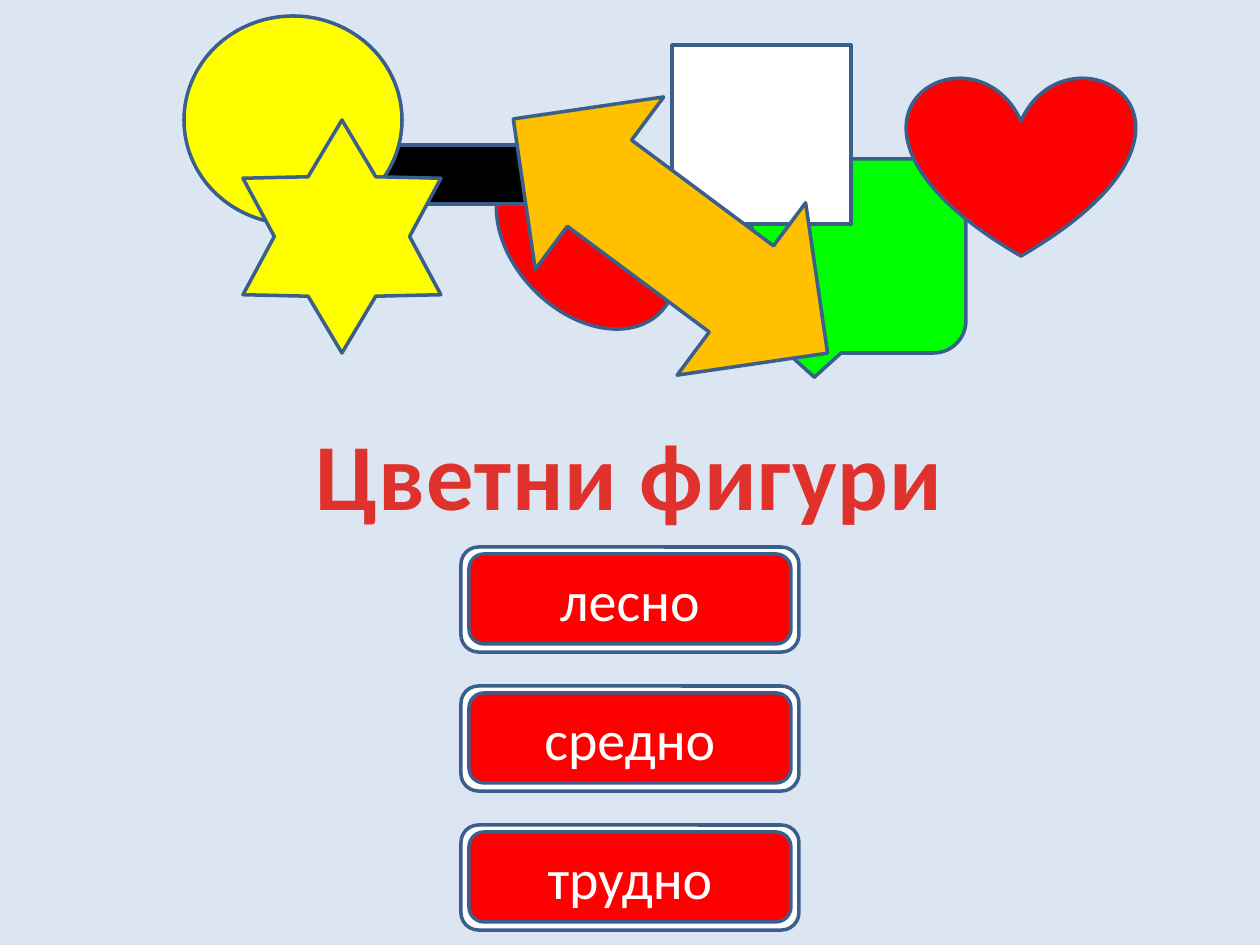
import pptx
import pptx.util
import pptx.dml.color
import pptx.enum.shapes
import pptx.enum.text

PIXEL = 914400 // 126
SHAPE = pptx.enum.shapes.MSO_SHAPE
ALIGN = pptx.enum.text.PP_ALIGN
COLORS = {
    "background": "DCE6F2", "outline": "3A5F8C", "red": "FF0000",
    "black": "000000", "yellow": "FFFF00", "green": "00FF00",
    "white": "FFFFFF", "orange": "FFC000",
    "title light": "E0322D", "title dark": "A2201C",
}


def color(name):
    return pptx.dml.color.RGBColor.from_string(COLORS[name])


def add_figure(shapes, kind, box, fill, rotation=0):
    shape = shapes.add_shape(kind, *(value * PIXEL for value in box))
    shape.shadow.inherit = False
    shape.rotation = rotation
    shape.fill.solid()
    shape.fill.fore_color.rgb = color(fill)
    shape.line.color.rgb = color("outline")
    shape.line.width = pptx.util.Pt(2)
    return shape


presentation = pptx.Presentation()
presentation.slide_width = pptx.util.Inches(10)
presentation.slide_height = pptx.util.Inches(7.5)
slide = presentation.slides.add_slide(presentation.slide_layouts[6])
slide.background.fill.solid()
slide.background.fill.fore_color.rgb = color("background")

# Coloured figures, from back to front
figures = [
    (SHAPE.OVAL, (513, 134, 147, 209), "red", 315.5),
    (SHAPE.RECTANGLE, (323, 145, 248, 59), "black", 0),
    (SHAPE.OVAL, (184, 16, 218, 208), "yellow", 0),
    (SHAPE.STAR_6_POINT, (243, 120, 198, 233), "yellow", 0),
    (SHAPE.ROUNDED_RECTANGULAR_CALLOUT, (752, 159, 214, 194), "green", 0),
    (SHAPE.RECTANGLE, (672, 45, 179, 179), "white", 0),
    (SHAPE.UP_DOWN_ARROW, (563, 40, 215, 392), "orange", 306.7),
    (SHAPE.HEART, (907, 76, 228, 180), "red", 0),
]
for kind, box, fill, rotation in figures:
    figure = add_figure(slide.shapes, kind, box, fill, rotation)
    if kind == SHAPE.STAR_6_POINT:
        figure.adjustments[0] = 0.296

# Title
title = slide.shapes.add_textbox(*(value * PIXEL for value in (300, 410, 659, 127)))
title.text_frame.word_wrap = False
title.text_frame.auto_size = pptx.enum.text.MSO_AUTO_SIZE.SHAPE_TO_FIT_TEXT
paragraph = title.text_frame.paragraphs[0]
paragraph.alignment = ALIGN.CENTER
run = paragraph.add_run()
run.text = "Цветни фигури"
run.font.name = "Calibri"
run.font.size = pptx.util.Pt(54)
run.font.bold = True
run.font.fill.gradient()
run.font.fill.gradient_angle = 270
stops = [(0.25, "title light"), (1, "title dark")]
for stop, (position, name) in zip(run.font.fill.gradient_stops, stops):
    stop.position = position
    stop.color.rgb = color(name)
run._r.get_or_add_rPr().set("spc", "50")

# Level buttons: a white frame around a red label
for index, level in enumerate(["лесно", "средно", "трудно"]):
    top = 547 + 139 * index
    button = slide.shapes.add_group_shape()
    add_figure(button.shapes, SHAPE.ROUNDED_RECTANGLE, (461, top, 338, 105), "white")
    label = add_figure(button.shapes, SHAPE.ROUNDED_RECTANGLE, (469, top + 7, 322, 90), "red")
    label.text_frame.vertical_anchor = pptx.enum.text.MSO_ANCHOR.MIDDLE
    paragraph = label.text_frame.paragraphs[0]
    paragraph.alignment = ALIGN.CENTER
    run = paragraph.add_run()
    run.text = level
    run.font.name = "Calibri"
    run.font.size = pptx.util.Pt(32)
    run.font.color.rgb = color("white")

presentation.save("out.pptx")
